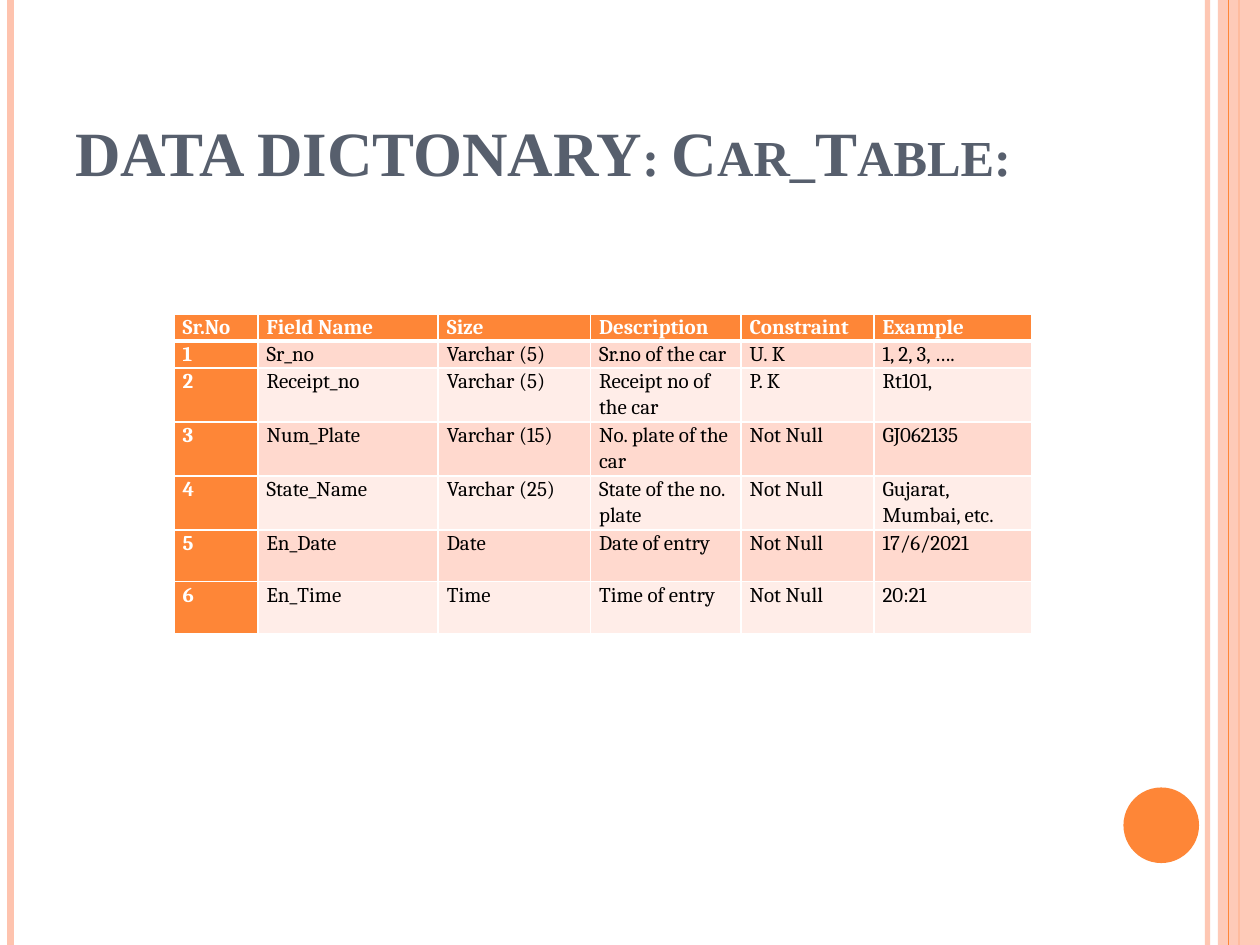
from lxml.etree import SubElement
from pptx import Presentation
from pptx.dml.color import RGBColor
from pptx.enum.shapes import MSO_CONNECTOR, MSO_SHAPE
from pptx.enum.text import MSO_ANCHOR
from pptx.oxml import parse_xml
from pptx.oxml.ns import nsdecls, qn
from pptx.util import Pt

ORANGE, PEACH, SLATE = "FE8637", "FEC3AE", "575F6D"
WHITE, BLACK = "FFFFFF", "000000"
BANDS = ("FFD9CE", "FFEDE8")
WIDTH, HEIGHT = 720, 540
COLUMNS = (48, 103, 87, 86, 76, 90)
ROWS = (14.7, 14.7) + (29.6,) * 5
ENTRIES = [
    ("Sr.No", "Field Name", "Size", "Description", "Constraint", "Example"),
    ("1", "Sr_no", "Varchar (5)", "Sr.no of the car", "U. K", "1, 2, 3, …."),
    ("2", "Receipt_no", "Varchar (5)", "Receipt no of the car", "P. K", "Rt101,"),
    ("3", "Num_Plate", "Varchar (15)", "No. plate of the car", "Not Null", "GJ062135"),
    ("4", "State_Name", "Varchar (25)", "State of the no. plate", "Not Null",
     "Gujarat, Mumbai, etc."),
    ("5", "En_Date", "Date", "Date of entry", "Not Null", "17/6/2021"),
    ("6", "En_Time", "Time", "Time of entry", "Not Null", "20:21"),
]


def rgb(value):
    return RGBColor.from_string(value)


class SlideBuilder:
    """Draws styled elements on one slide, with lengths in points."""

    def __init__(self, slide):
        self.s = slide
        self.title_font = "Times New Roman"
        self.table_font = "Cambria"

    def paint(self, fill, color, opacity=100):
        fill.solid()
        fill.fore_color.rgb = rgb(color)
        if opacity < 100:
            for clr in fill._xPr.iter(qn("a:srgbClr")):
                SubElement(clr, qn("a:alpha"), val=str(opacity * 1000))

    def style(self, p, font, size, color, bold):
        for r in p.runs:
            r.font.name, r.font.size, r.font.bold = font, Pt(size), bold
            r.font.color.rgb = rgb(color)

    def stripe(self, x, color, width, opacity=100):
        line = self.s.shapes.add_connector(
            MSO_CONNECTOR.STRAIGHT, Pt(x), Pt(0), Pt(x), Pt(HEIGHT))
        line.line.width = Pt(width)
        self.paint(line.line.fill, color, opacity)
        SubElement(line._element.spPr, qn("a:effectLst"))

    def shape(self, kind, x, y, w, h, color, opacity=100):
        sp = self.s.shapes.add_shape(kind, Pt(x), Pt(y), Pt(w), Pt(h))
        sp.shadow.inherit = False
        sp.line.fill.background()
        self.paint(sp.fill, color, opacity)

    def title(self, text, x, y, w, h):
        tf = self.s.shapes.add_textbox(Pt(x), Pt(y), Pt(w), Pt(h)).text_frame
        tf.word_wrap = True
        tf.vertical_anchor = MSO_ANCHOR.BOTTOM
        tf.text = text
        p = tf.paragraphs[0]
        self.style(p, self.title_font, 36, SLATE, True)
        p.runs[0].font._element.set("cap", "small")

    def borders(self, cell, widths):
        for i, (side, width) in enumerate(zip("LRTB", widths)):
            cell._tc.get_or_add_tcPr().insert(i, parse_xml(
                f'<a:ln{side} {nsdecls("a")} w="{Pt(width)}"><a:solidFill>'
                f'<a:srgbClr val="{WHITE}"/></a:solidFill></a:ln{side}>'))

    def cell(self, cell, text, fill, color, bold, widths):
        self.paint(cell.fill, fill)
        cell.margin_left = cell.margin_right = Pt(5)
        cell.margin_top = cell.margin_bottom = Pt(0)
        cell.text_frame.text = text
        p = cell.text_frame.paragraphs[0]
        p.line_spacing = 1.07
        self.style(p, self.table_font, 12, color, bold)
        self.borders(cell, widths)

    def table(self, entries, x, y, columns, rows):
        table = self.s.shapes.add_table(
            len(rows), len(columns), Pt(x), Pt(y),
            Pt(sum(columns)), Pt(sum(rows))).table
        for column, width in zip(table.columns, columns):
            column.width = Pt(width)
        for i, (height, entry) in enumerate(zip(rows, entries)):
            table.rows[i].height = Pt(height)
            widths = (1, 1, 3 if i == 1 else 1, 3 if i == 0 else 1)
            for j, text in enumerate(entry):
                heading = i == 0 or j == 0
                self.cell(table.cell(i, j), text,
                          ORANGE if heading else BANDS[(i - 1) % 2],
                          WHITE if heading else BLACK, heading, widths)


def main():
    prs = Presentation()
    prs.slide_width, prs.slide_height = Pt(WIDTH), Pt(HEIGHT)
    builder = SlideBuilder(prs.slides.add_slide(prs.slide_layouts[6]))
    builder.stripe(690, PEACH, 3, 93)
    builder.stripe(6, PEACH, 4.5)
    builder.stripe(708, ORANGE, 1.5)
    builder.shape(MSO_SHAPE.RECTANGLE, 696, 0, 24, HEIGHT, PEACH, 87)
    builder.stripe(702, ORANGE, 0.75)
    builder.shape(MSO_SHAPE.OVAL, 642, 450, 43.2, 43.2, ORANGE)
    builder.title("DATA DICTONARY: Car_Table:", 36, 21.6, 588, 90)
    builder.table(ENTRIES, 99.4, 179.5, COLUMNS, ROWS)
    prs.save("out.pptx")


if __name__ == "__main__":
    main()
